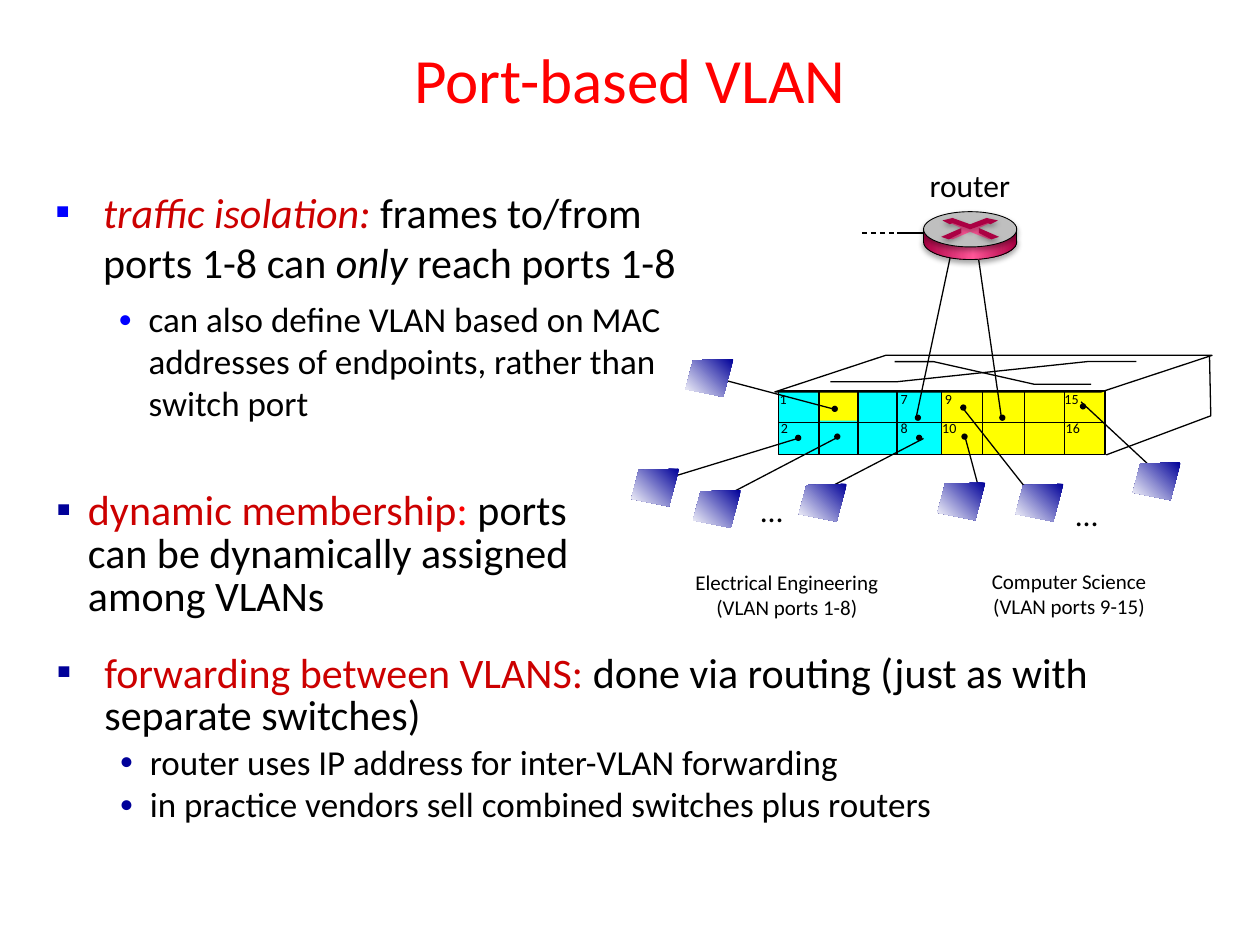
from copy import deepcopy
from lxml.etree import SubElement
from pptx import Presentation
from pptx.dml.color import RGBColor
from pptx.enum.dml import MSO_LINE
from pptx.enum.shapes import MSO_CONNECTOR, MSO_SHAPE
from pptx.enum.text import MSO_ANCHOR, MSO_AUTO_SIZE, PP_ALIGN
from pptx.oxml.ns import qn
from pptx.util import Inches, Pt

COLORS = {
    "black": "000000", "white": "FFFFFF", "red": "FF0000", "crimson": "CC0000",
    "blue": "0000FF", "navy": "000099", "cyan": "00FFFF", "yellow": "FFFF00",
    "gray": "BFBFBF", "wine": "AB0043", "pink": "FF5698",
}
FONT = "Calibri"


def rgb(name):
    return RGBColor.from_string(COLORS[name])


class SlideBuilder:
    def __init__(self, s):
        self.s = s

    def shadow(self, effects):
        sh = SubElement(effects, qn("a:outerShdw"), blurRad=str(Pt(3.1)),
                        dist=str(Pt(1.8)), dir="5400000", rotWithShape="0")
        clr = SubElement(sh, qn("a:srgbClr"), val=COLORS["black"])
        SubElement(clr, qn("a:alpha"), val="35000")

    def style(self, sp, fill, line, shadow, angle):
        if isinstance(fill, tuple):
            self.gradient(sp, fill, angle)
        elif fill:
            sp.fill.solid()
            sp.fill.fore_color.rgb = rgb(fill)
        else:
            sp.fill.background()
        if line:
            sp.line.color.rgb = rgb("black")
            sp.line.width = Pt(line)
        else:
            sp.line.fill.background()
        sp.shadow.inherit = False
        if shadow:
            self.shadow(sp._element.spPr.find(qn("a:effectLst")))
        return sp

    def gradient(self, sp, stops, angle):
        sp.fill.gradient()
        sp.fill.gradient_angle = angle
        gs_list = sp._element.spPr.find(qn("a:gradFill")).find(qn("a:gsLst"))
        while len(gs_list) < len(stops):
            gs_list.append(deepcopy(gs_list[-1]))
        for stop, (position, color) in zip(sp.fill.gradient_stops, stops):
            stop.position = position
            stop.color.rgb = rgb(color)

    def shape(self, kind, x, y, w, h, fill=None, line=None, shadow=False, angle=0):
        sp = self.s.shapes.add_shape(kind, Inches(x), Inches(y), Inches(w), Inches(h))
        return self.style(sp, fill, line, shadow, angle)

    def rect(self, x, y, w, h, fill=None, line=None):
        return self.shape(MSO_SHAPE.RECTANGLE, x, y, w, h, fill, line)

    def dot(self, x, y):
        self.shape(MSO_SHAPE.OVAL, x, y, 0.05, 0.05, "black")

    def outline(self, points, fill=None, line=None, shadow=False, angle=0):
        start, *rest = [(Inches(x), Inches(y)) for x, y in points]
        fb = self.s.shapes.build_freeform(*start)
        fb.add_line_segments(rest, close=bool(fill))
        return self.style(fb.convert_to_shape(), fill, line, shadow, angle)

    def line(self, x1, y1, x2, y2, width=0.75, dash=None, shadow=False):
        cx = self.s.shapes.add_connector(
            MSO_CONNECTOR.STRAIGHT, Inches(x1), Inches(y1), Inches(x2), Inches(y2))
        cx.line.color.rgb = rgb("black")
        cx.line.width = Pt(width)
        if dash:
            cx.line.dash_style = dash
        effects = SubElement(cx._element.spPr, qn("a:effectLst"))
        if shadow:
            self.shadow(effects)
        return cx

    def box(self, x, y, w, h, wrap=True):
        tf = self.s.shapes.add_textbox(
            Inches(x), Inches(y), Inches(w), Inches(h)).text_frame
        tf.word_wrap = wrap
        tf.auto_size = MSO_AUTO_SIZE.NONE if wrap else MSO_AUTO_SIZE.SHAPE_TO_FIT_TEXT
        return tf

    def font(self, r, size, color="black", italic=False):
        r.font.name = FONT
        r.font.size = Pt(size)
        r.font.color.rgb = rgb(color)
        r.font.italic = italic

    def label(self, text, x, y, w, h, size, align=PP_ALIGN.LEFT, color="black", wrap=False):
        tf = self.box(x, y, w, h, wrap)
        tf.text = text
        for p in tf.paragraphs:
            p.alignment = align
            for r in p.runs:
                self.font(r, size, color)
        return tf

    def bullets(self, x, y, w, h, color, spacing, items):
        tf = self.box(x, y, w, h)
        for i, (level, before, margin, hang, size, runs) in enumerate(items):
            p = tf.add_paragraph() if i else tf.paragraphs[0]
            pPr = p._p.get_or_add_pPr()
            pPr.set("marL", str(Inches(margin)))
            pPr.set("indent", str(Inches(-hang)))
            clr = SubElement(pPr, qn("a:buClr"))
            SubElement(clr, qn("a:srgbClr"), val=COLORS[color])
            SubElement(pPr, qn("a:buSzPct"), val="80000" if level else "100000")
            SubElement(pPr, qn("a:buFont"), typeface=FONT)
            SubElement(pPr, qn("a:buChar"), char="•" if level else "▪")
            p.level = level
            p.line_spacing = spacing
            p.space_before = Pt(before)
            for text, run_color, italic in runs:
                r = p.add_run()
                r.text = text
                self.font(r, size, run_color, italic)

    def computer(self, x, y):
        corners = [(0.38, 0), (0.06, 0.01), (0, 0.24), (0.3, 0.3)]
        self.outline([(x + dx, y + dy) for dx, dy in corners],
                     ((0, "navy"), (1, "white")), angle=225)


def add_text(b):
    title = b.label("Port-based VLAN", 0, 0, 10, 1.25, 36, PP_ALIGN.CENTER, "red", True)
    title.vertical_anchor = MSO_ANCHOR.MIDDLE
    b.bullets(0.34, 1.43, 5.28, 1.93, "blue", 1.0, [
        (0, 0, 0.38, 0.38, 24, [
            ("traffic isolation: ", "crimson", True),
            ("frames to/from ports 1-8 can ", "black", False),
            ("only", "black", True), (" reach ports 1-8", "black", False)]),
        (1, 6, 0.74, 0.24, 20, [
            ("can also define VLAN based on MAC addresses of endpoints, "
             "rather than switch port", "black", False)])])
    b.bullets(0.35, 3.85, 4.44, 1.36, "navy", 0.85, [
        (0, 0, 0.25, 0.25, 24, [
            ("dynamic membership", "crimson", False), (":", "red", False),
            (" ports can be dynamically assigned among VLANs", "black", False)])])
    b.bullets(0.35, 5.14, 9.09, 1.86, "navy", 0.85, [
        (0, 0, 0.38, 0.38, 24, [
            ("forwarding between VLANS: ", "crimson", False),
            ("done via routing (just as with separate switches)", "black", False)]),
        *[(1, 4, 0.74, 0.24, 20, [(text, "black", False)]) for text in (
            "router uses IP address for inter-VLAN forwarding",
            "in practice vendors sell combined switches plus routers")]])
    b.label("router", 7.28, 1.27, 0.86, 0.4, 18)
    b.label("…", 5.94, 3.85, 0.45, 0.4, 18)
    b.label("…", 8.44, 3.88, 0.45, 0.4, 18)
    b.label("Electrical Engineering\n(VLAN ports 1-8)", 5.42, 4.47, 1.65, 0.5, 12, PP_ALIGN.CENTER)
    b.label("Computer Science\n(VLAN ports 9-15)", 7.7, 4.46, 1.57, 0.5, 12, PP_ALIGN.CENTER)


def add_switch(b):
    b.rect(6.18, 3.1, 1.29, 0.51, "cyan")
    b.rect(7.47, 3.1, 1.3, 0.51, "yellow")
    b.rect(6.49, 3.11, 0.31, 0.23, "yellow")
    top = b.shape(MSO_SHAPE.PARALLELOGRAM, 6.15, 2.82, 3.47, 0.29, "white", 0.75)
    top.adjustments[0] = 3.03
    b.outline([(8.78, 3.61), (9.61, 3.3), (9.6, 2.82)], line=0.75)
    b.outline([(6.59, 3.03), (7.12, 3.03), (8.63, 2.87), (9.02, 2.87)], line=0.75)
    b.outline([(7.1, 2.87), (7.41, 2.87), (8.21, 3.05), (8.66, 3.05)], line=0.75)
    front = b.rect(6.18, 3.1, 2.59, 0.51, line=0.75)
    row = b.line(6.18, 3.35, 8.77, 3.35)
    row.begin_connect(front, 1)
    row.end_connect(front, 3)
    for x in (6.5, 6.81, 7.12, 7.47, 7.8, 8.13, 8.45):
        b.line(x, 3.1, x, 3.61)
    for odd, x_odd, x_even in ((1, 6.09, 6.1), (7, 7.05, 7.05), (9, 7.4, 7.38), (15, 8.35, 8.36)):
        for port, x, y in ((odd, x_odd, 3.05), (odd + 1, x_even, 3.28)):
            b.label(str(port), x, y, 0.26 if port < 10 else 0.33, 0.23, 8)


def add_hosts(b):
    hosts = [
        ((6.31, 3.45), (6.33, 3.48, 5.35, 3.78), (5.01, 3.72)),
        ((6.62, 3.44), (6.65, 3.47, 5.77, 3.93), (5.5, 3.89)),
        ((7.27, 3.45), (7.33, 3.48, 6.56, 3.88), (6.34, 3.84)),
        ((7.63, 3.44), (7.66, 3.47, 7.77, 3.88), (7.44, 3.83)),
        ((7.62, 3.21), (7.65, 3.25, 8.17, 3.91), (8.06, 3.84)),
        ((8.57, 3.2), (8.58, 3.19, 9.15, 3.72), (8.99, 3.67)),
        ((6.6, 3.22), (6.63, 3.25, 5.76, 3.02), (5.44, 2.85)),
    ]
    for port, wire, computer in hosts:
        b.line(*wire)
        b.dot(*port)
        b.computer(*computer)


def add_router(b):
    for x, wire in ((7.26, (7.27, 3.32, 7.55, 2)), (7.93, (7.95, 3.33, 7.76, 2.01))):
        b.dot(x, 3.29)
        b.line(*wire)
    b.line(7.12, 1.85, 7.4, 1.85)
    b.line(6.84, 1.85, 7.11, 1.85, dash=MSO_LINE.DASH)
    metal = ((0, "wine"), (0.53, "pink"), (1, "wine"))
    b.shape(MSO_SHAPE.OVAL, 7.33, 1.78, 0.74, 0.28, metal, 0.5, True)
    b.rect(7.33, 1.82, 0.74, 0.1, metal)
    b.shape(MSO_SHAPE.OVAL, 7.33, 1.68, 0.74, 0.28, "gray", 0.5, True)
    b.outline([(7.7, 1.84), (7.56, 1.9), (7.52, 1.89), (7.63, 1.85), (7.63, 1.81),
               (7.54, 1.77), (7.57, 1.77), (7.7, 1.82), (7.83, 1.76), (7.86, 1.77),
               (7.77, 1.81), (7.79, 1.86), (7.88, 1.89), (7.85, 1.9)], "pink")
    b.outline([(7.48, 1.75), (7.56, 1.73), (7.7, 1.78), (7.83, 1.73), (7.92, 1.75),
               (7.86, 1.78), (7.84, 1.77), (7.7, 1.82), (7.56, 1.77), (7.54, 1.78)],
              "wine", shadow=True)
    b.outline([(7.77, 1.81), (7.93, 1.88), (7.87, 1.9), (7.77, 1.85)], "wine", shadow=True)
    b.outline([(7.63, 1.81), (7.63, 1.85), (7.53, 1.9), (7.47, 1.88)], "wine", shadow=True)
    for x in (7.33, 8.07):
        b.line(x, 1.93, x, 1.82, 0.5, shadow=True)


def main():
    prs = Presentation()
    prs.slide_width, prs.slide_height = Inches(10), Inches(7.5)
    b = SlideBuilder(prs.slides.add_slide(prs.slide_layouts[6]))
    add_text(b)
    add_switch(b)
    add_hosts(b)
    add_router(b)
    prs.save("out.pptx")


if __name__ == "__main__":
    main()
